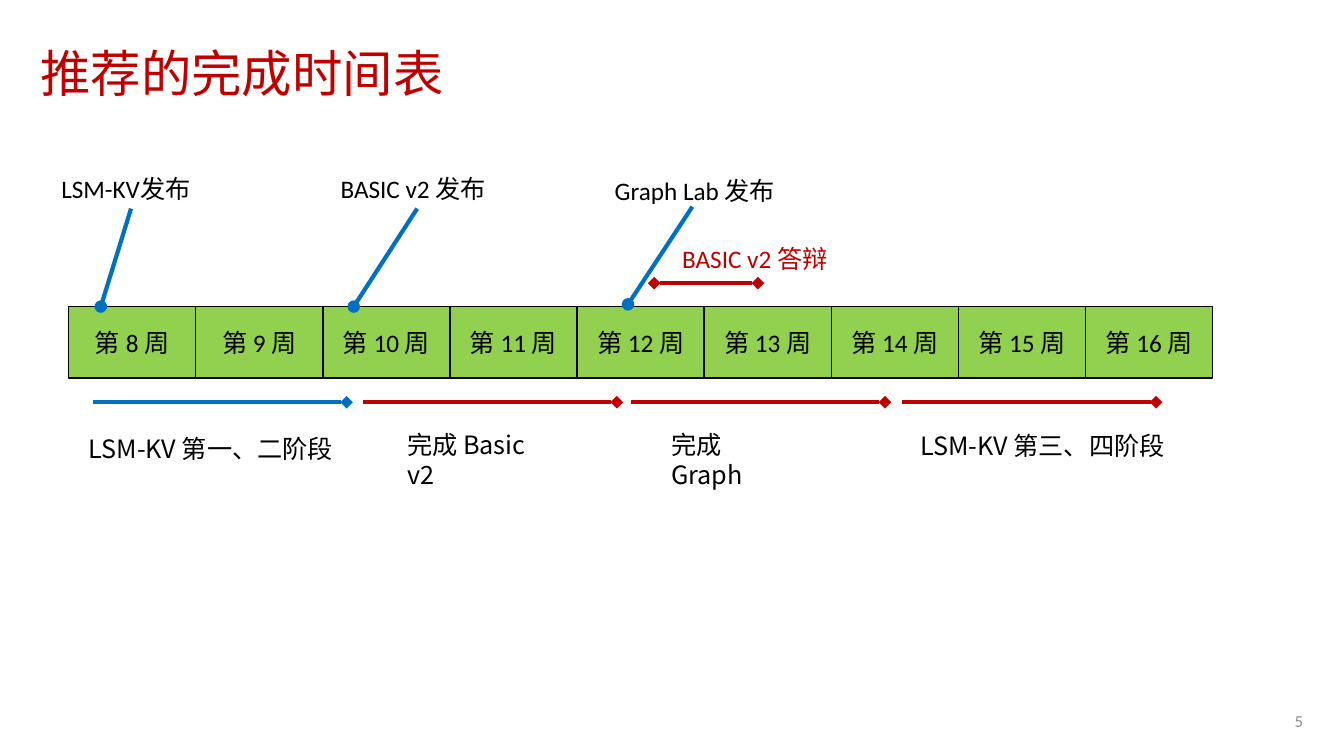
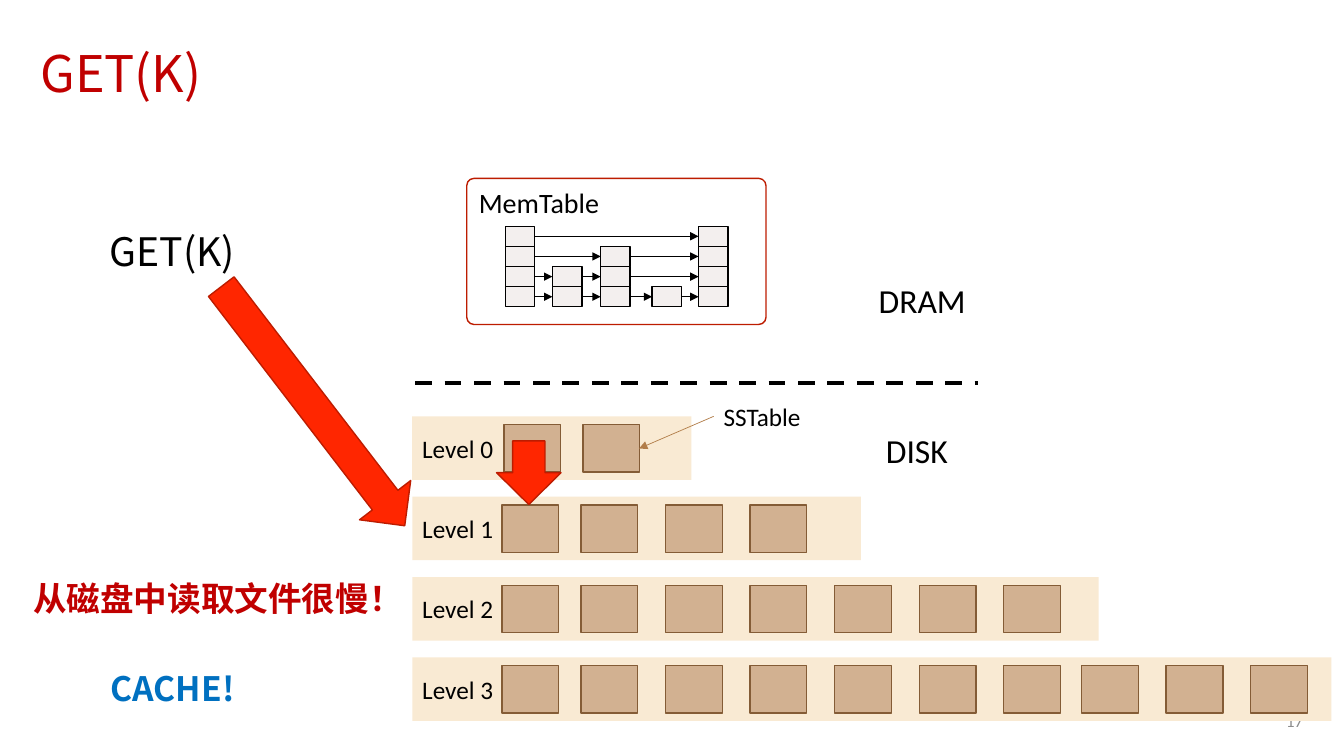
import itertools

import pptx
import pptx.dml.color
import pptx.enum.dml
import pptx.enum.shapes
import pptx.enum.text
import pptx.oxml.ns
import pptx.util
from lxml import etree

Pt = pptx.util.Pt
SHAPE = pptx.enum.shapes.MSO_SHAPE
ALIGN = pptx.enum.text.PP_ALIGN
ANCHOR = pptx.enum.text.MSO_ANCHOR

# Shared style
LATIN, CJK = "Calibri", "Noto Sans CJK SC"
BLACK, RED, BLUE, GREY = "000000", "C00000", "0070C0", "8C8C8C"
GREEN, SAND, TAN, BROWN = "92D050", "F9EAD3", "D2B191", "845C36"
ARROW_RED, DARK_RED, CELL, POINTER = "FF2600", "BD1C00", "E7DEDA", "B27D49"
TITLE_AREA = (21.6, 28.8, 916.6, 51)
NUMBER_AREA = (678, 500.4, 260, 28.8)

# Schedule: areas are left, top, width, height; lines are start x, y, end x, y
SCHEDULE_TITLE, SCHEDULE_NUMBER = "推荐的完成时间表", "5"
WEEKS = range(8, 17)
WEEK_LEFT, WEEK_TOP, WEEK_WIDTH, WEEK_HEIGHT = 49, 219, 90.8, 51
RELEASES = [
    ("LSM-KV发布", (36.7, 120.2, 113), (93.6, 149, 72, 219)),
    ("BASIC v2 发布", (236.2, 120.2, 124.6), (298, 149, 252.7, 219)),
    ("Graph Lab 发布", (432, 121.7, 134), (494.6, 147.6, 448.6, 217.4)),
]
DEFENSE = ("BASIC v2 答辩", (480.2, 170.6, 123), (467.3, 202.3, 541.4, 202.3))
PHASE_Y, PHASE_LENGTH = 287.3, 181.4
PHASES = [  # text, area, start of line, colour, wraps
    ("LSM-KV 第一、二阶段", (56.2, 306, 196.6), 66.2, BLUE, False),
    ("完成 Basic v2", (283.7, 303.1, 120.2), 259.2, RED, True),
    ("完成 Graph", (472.3, 303.1, 105.1), 450.7, RED, True),
    ("LSM-KV 第三、四阶段", (650.2, 303.8, 196.6), 644.4, RED, False),
]

# Lookup
LOOKUP_TITLE, LOOKUP_NUMBER = "GET(K)", "17"
LEVEL_LEFT, LEVEL_TOP, LEVEL_STEP, LEVEL_HEIGHT = 294.5, 297.4, 57.4, 45.4
LEVELS = [  # width, number of tables, shift of tables
    (199.4, 2, 1.5), (320.4, 4, 0), (490.3, 7, 0), (656.6, 10, 0)]
TABLE_LEFTS = [358.5, *(415 + 60.4 * i for i in range(6)),
               *(772.6 + 60.4 * i for i in range(3))]
TABLE_WIDTH, TABLE_HEIGHT, TABLE_INSET = 40.5, 33.8, 6
TOWERS = [(361, 4), (394.6, 2), (429.1, 3), (465.8, 1), (499, 4)]  # left, height
CELL_WIDTH, CELL_HEIGHT, TOWER_BOTTOM = 21, 14.4, 219.2
LABELS = [
    ("DRAM", (620.6, 196.6, 77, 36), dict(size=24)),
    ("DISK", (625.7, 303.8, 59, 36), dict(size=24)),
    ("SSTable", (509.8, 283, 69.8, 28.8), dict(size=18)),
    ("GET(K)", (71.3, 159.1, 104.4, 41), dict(size=28, font=CJK)),
    ("从磁盘中读取文件很慢！", (16.6, 409, 280.8, 36),
     dict(size=24, font=CJK, color=RED, bold=True)),
    ("CACHE!", (72, 473.8, 107.3, 36),
     dict(size=24, font=CJK, color=BLUE, bold=True)),
]
BLOCK_ARROWS = [((115.9, 267.1, 215.3, 46.1), 52.5), ((355, 314.6, 45.4, 46.1), 90)]


def rgb(value):
    """Turn a hex string into a colour."""
    return pptx.dml.color.RGBColor.from_string(value)


def points(values):
    """Turn numbers into point lengths."""
    return [Pt(value) for value in values]


def sub(parent, tag, **attributes):
    """Append a DrawingML element to a parent."""
    return etree.SubElement(parent, pptx.oxml.ns.qn(tag), attributes)


def write(shape, text, size=18, font=LATIN, color=BLACK, bold=False,
          align=ALIGN.LEFT, anchor=ANCHOR.TOP, wrap=True, spacing=None):
    """Put one formatted paragraph into a shape."""
    frame = shape.text_frame
    frame.word_wrap = wrap
    frame.auto_size = pptx.enum.text.MSO_AUTO_SIZE.NONE
    frame.vertical_anchor = anchor
    para = frame.paragraphs[0]
    para.alignment = align
    para.line_spacing = spacing
    span = para.add_run()
    span.text = text
    span.font.size = Pt(size)
    span.font.name = font
    span.font.bold = bold
    span.font.color.rgb = rgb(color)
    sub(span.font._element, "a:ea", typeface=CJK)


def add_label(page, text, area, **style):
    """Add a text box."""
    box = page.shapes.add_textbox(*points(area))
    write(box, text, **style)
    return box


def add_box(page, kind, area, fill=None, line=None, alpha=None):
    """Add a preset shape with plain fill and outline."""
    box = page.shapes.add_shape(kind, *points(area))
    box.shadow.inherit = False
    if fill:
        box.fill.solid()
        box.fill.fore_color.rgb = rgb(fill)
        if alpha:
            color = box._element.spPr.find(".//" + pptx.oxml.ns.qn("a:srgbClr"))
            sub(color, "a:alpha", val=str(alpha * 1000))
    else:
        box.fill.background()
    if line:
        box.line.color.rgb = rgb(line)
        box.line.width = Pt(1)
    else:
        box.line.fill.background()
    return box


def add_line(page, ends, color=BLACK, width=1, head=None, tail=None, dash=None):
    """Add a straight line with optional end marks."""
    line = page.shapes.add_connector(
        pptx.enum.shapes.MSO_CONNECTOR.STRAIGHT, *points(ends))
    line.line.color.rgb = rgb(color)
    line.line.width = Pt(width)
    if dash:
        line.line.dash_style = dash
    outline = line.line._get_or_add_ln()
    for tag, mark in (("a:headEnd", head), ("a:tailEnd", tail)):
        if mark:
            sub(outline, tag, type=mark)
    sub(line._element.spPr, "a:effectLst")


def add_page(deck, title, number):
    """Add a slide with title and page number."""
    page = deck.slides.add_slide(deck.slide_layouts[5])
    heading = page.shapes.title
    heading.left, heading.top, heading.width, heading.height = points(TITLE_AREA)
    write(heading, title, size=36, font=CJK, color=RED,
          anchor=ANCHOR.MIDDLE, spacing=0.9)
    add_label(page, number, NUMBER_AREA, size=12, color=GREY,
              align=ALIGN.RIGHT, anchor=ANCHOR.MIDDLE)
    return page


def build_schedule(deck):
    """Build the week-by-week timeline."""
    page = add_page(deck, SCHEDULE_TITLE, SCHEDULE_NUMBER)
    for i, week in enumerate(WEEKS):
        area = (WEEK_LEFT + i * WEEK_WIDTH, WEEK_TOP, WEEK_WIDTH, WEEK_HEIGHT)
        box = add_box(page, SHAPE.RECTANGLE, area, GREEN, BLACK)
        write(box, f"第 {week} 周", align=ALIGN.CENTER, anchor=ANCHOR.MIDDLE)
    for text, area, ends in RELEASES:
        add_label(page, text, (*area, 28.8), wrap=False)
        add_line(page, ends, BLUE, 3, tail="oval")
    text, area, ends = DEFENSE
    add_label(page, text, (*area, 28.8), color=RED, wrap=False)
    add_line(page, ends, RED, 3, head="diamond", tail="diamond")
    for text, area, start, color, wraps in PHASES:
        add_line(page, (start, PHASE_Y, start + PHASE_LENGTH, PHASE_Y),
                 color, 3, tail="diamond")
        add_label(page, text, (*area, 28.8), font=CJK, wrap=wraps)


def add_skip_list(page):
    """Draw the towers and link neighbours that reach the same row."""
    for left, height in TOWERS:
        for row in range(height):
            top = TOWER_BOTTOM - (row + 1) * CELL_HEIGHT
            add_box(page, SHAPE.RECTANGLE, (left, top, CELL_WIDTH, CELL_HEIGHT),
                    CELL, BLACK, alpha=46)
    for row in range(max(height for _, height in TOWERS)):
        y = TOWER_BOTTOM - (row + 0.5) * CELL_HEIGHT
        lefts = [left for left, height in TOWERS if height > row]
        for start, end in itertools.pairwise(lefts):
            add_line(page, (start + CELL_WIDTH, y, end, y), tail="triangle")


def build_lookup(deck):
    """Build the storage levels and the path of a lookup."""
    page = add_page(deck, LOOKUP_TITLE, LOOKUP_NUMBER)
    for i, (width, count, shift) in enumerate(LEVELS):
        top = LEVEL_TOP + i * LEVEL_STEP
        band = add_box(page, SHAPE.RECTANGLE,
                       (LEVEL_LEFT, top, width, LEVEL_HEIGHT), SAND)
        write(band, f"Level {i}", anchor=ANCHOR.MIDDLE)
        for left in TABLE_LEFTS[:count]:
            add_box(page, SHAPE.RECTANGLE,
                    (left + shift, top + TABLE_INSET, TABLE_WIDTH, TABLE_HEIGHT),
                    TAN, BROWN)
    memory = add_box(page, SHAPE.ROUNDED_RECTANGLE, (333.4, 127.4, 213.8, 104.4),
                     line=DARK_RED)
    memory.adjustments[0] = 0.05
    write(memory, "MemTable", size=20)
    add_skip_list(page)
    add_line(page, (296.6, 273.6, 698.4, 273.6), width=3,
             dash=pptx.enum.dml.MSO_LINE.DASH)
    add_line(page, (509.8, 297.4, 456.5, 320.4), POINTER, 0.5, tail="triangle")
    for area, angle in BLOCK_ARROWS:
        arrow = add_box(page, SHAPE.RIGHT_ARROW, area, ARROW_RED, DARK_RED)
        arrow.rotation = angle
    for text, area, style in LABELS:
        add_label(page, text, area, wrap=False, **style)


def main():
    """Build and save the deck."""
    deck = pptx.Presentation()
    deck.slide_width, deck.slide_height = points((960, 540))
    build_schedule(deck)
    build_lookup(deck)
    deck.save("out.pptx")


main()
